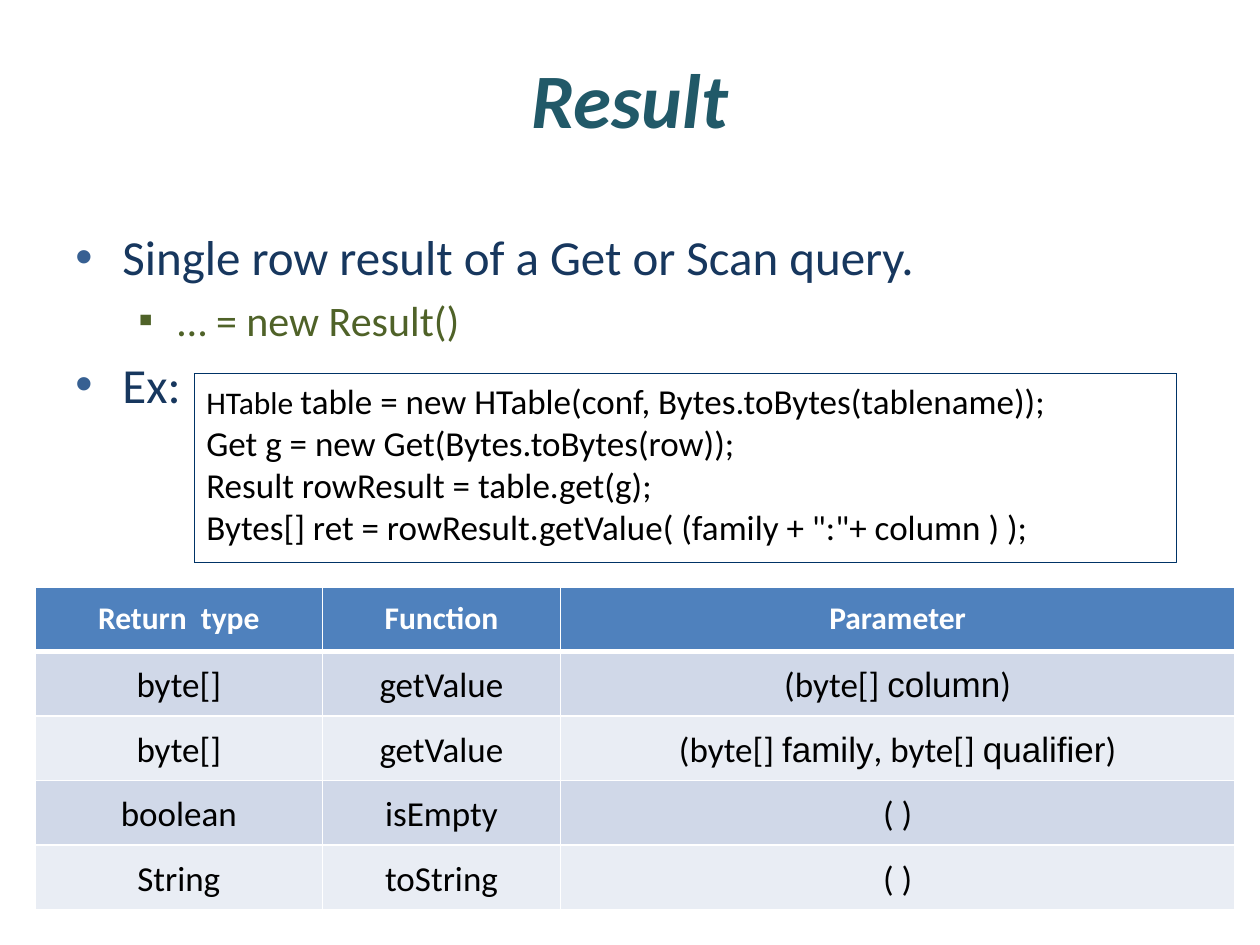
from lxml import etree
from pptx import Presentation
from pptx.dml.color import RGBColor
from pptx.enum.dml import MSO_LINE
from pptx.enum.shapes import MSO_SHAPE
from pptx.enum.text import MSO_ANCHOR, PP_ALIGN
from pptx.oxml.ns import qn
from pptx.util import Cm, Pt

RECT = MSO_SHAPE.RECTANGLE
DOTTED = MSO_LINE.ROUND_DOT
TOP, MIDDLE = MSO_ANCHOR.TOP, MSO_ANCHOR.MIDDLE
LEFT, CENTER = PP_ALIGN.LEFT, PP_ALIGN.CENTER

# Content
TITLE = "Result"
BULLETS = [  # level, text
    (0, "Single row result of a Get or Scan query."),
    (1, "… = new Result()"),
    (0, "Ex:"),
]
CODE = [  # lines of (style, text) runs
    [("code_small", "HTable "),
     ("code", "table = new HTable(conf, Bytes.toBytes(tablename));")],
    [("code", "Get g = new Get(Bytes.toBytes(row));")],
    [("code", "Result rowResult = table.get(g);")],
    [("code", 'Bytes[] ret = rowResult.getValue( (family + ":"+ column ) );')],
]
HEADER = ["Return  type", "Function", "Parameter"]
METHODS = [  # return type, function, parameter runs
    ("byte[]", "getValue",
     [("cell", "(byte[] "), ("argument", "column"), ("cell", ")")]),
    ("byte[]", "getValue",
     [("cell", "(byte[] "), ("argument", "family"), ("cell", ", byte[] "),
      ("argument", "qualifier"), ("cell", ")")]),
    ("boolean", "isEmpty", "( )"),
    ("String", "toString", "( )"),
]

# Places in cm: left, top, width, height
TITLE_AT = (1.27, 0.76, 22.86, 2.41)
BODY_AT = (1.27, 4.45, 22.86, 12.57)
CODE_AT = (3.91, 7.52, 19.81, 3.81)
TABLE_LEFT, TABLE_TOP, ROW_HEIGHT = 0.71, 11.83, 1.3
COLUMN_WIDTHS = (5.79, 4.8, 13.59)

THEME = {
    "text": {  # size, font, colour, bold, italic
        "title": (44, "Calibri", "215968", True, True),
        "bullet0": (28, "Calibri", "17375E", False, False),
        "bullet1": (24, "Calibri", "4F6228", False, False),
        "code_small": (18, "Calibri", "000000", False, False),
        "code": (20, "Calibri", "000000", False, False),
        "header": (18, "Calibri", "FFFFFF", True, False),
        "cell": (20, "Calibri", "000000", False, False),
        "argument": (20, "Arial", "000000", False, False),
    },
    "bullets": [  # mark, colour, margin and hanging indent in cm
        ("•", "376092", 0.95, 0.95),
        ("▪", "4F6228", 2.06, 0.79),
    ],
    "code_line": "003366",
    "header_fill": "4F81BD",
    "bands": ("D0D8E8", "E9EDF4"),
    "border": "FFFFFF",
}


def rgb(value):
    return RGBColor.from_string(value)


def box(values):
    return [Cm(v) for v in values]


def add_run(p, style, text):
    size, name, color, bold, italic = THEME["text"][style]
    r = p.add_run()
    r.text = text
    formats = {"size": Pt(size), "name": name, "bold": bold, "italic": italic}
    for key, value in formats.items():
        setattr(r.font, key, value)
    r.font.color.rgb = rgb(color)


def add_bullet(p, level):
    mark, color, margin, hanging = THEME["bullets"][level]
    p.level = level
    pPr = p._p.get_or_add_pPr()
    pPr.set("marL", str(Cm(margin)))
    pPr.set("indent", str(-Cm(hanging)))
    buClr = etree.SubElement(pPr, qn("a:buClr"))
    etree.SubElement(buClr, qn("a:srgbClr"), val=color)
    etree.SubElement(pPr, qn("a:buFont"), typeface="Arial")
    etree.SubElement(pPr, qn("a:buChar"), char=mark)


def write(tf, lines, align=LEFT, anchor=TOP):
    """Fill a text frame with lines, each a list of (style, text) runs."""
    tf.word_wrap = True
    tf.vertical_anchor = anchor
    for i, runs in enumerate(lines):
        p = tf.paragraphs[0] if i == 0 else tf.add_paragraph()
        p.alignment = align
        for style, text in runs:
            add_run(p, style, text)


def add_borders(cell, widths):
    """Draw cell borders; widths maps side letters L, R, T, B to points."""
    tcPr = cell._tc.get_or_add_tcPr()
    for side, width in widths.items():
        ln = etree.SubElement(tcPr, qn(f"a:ln{side}"), w=str(Pt(width)))
        fill = etree.SubElement(ln, qn("a:solidFill"))
        etree.SubElement(fill, qn("a:srgbClr"), val=THEME["border"])


def add_body(slide):
    tf = slide.shapes.add_textbox(*box(BODY_AT)).text_frame
    write(tf, [[(f"bullet{level}", text)] for level, text in BULLETS])
    for i, (level, _) in enumerate(BULLETS):
        p = tf.paragraphs[i]
        if i:
            p.space_before = Pt(0.2 * THEME["text"][f"bullet{level}"][0])
        add_bullet(p, level)


def add_code(slide):
    s = slide.shapes.add_shape(RECT, *box(CODE_AT))
    s.shadow.inherit = False
    s.fill.background()
    s.line.color.rgb = rgb(THEME["code_line"])
    s.line.width = Pt(0.25)
    s.line.dash_style = DOTTED
    write(s.text_frame, CODE)


def add_methods(slide):
    rows = [HEADER, *METHODS]
    place = (TABLE_LEFT, TABLE_TOP, sum(COLUMN_WIDTHS), ROW_HEIGHT * len(rows))
    table = slide.shapes.add_table(len(rows), len(HEADER), *box(place)).table
    for column, width in zip(table.columns, COLUMN_WIDTHS):
        column.width = Cm(width)
    for i, row in enumerate(rows):
        table.rows[i].height = Cm(ROW_HEIGHT)
        style = "cell" if i else "header"
        fill = THEME["bands"][(i - 1) % 2] if i else THEME["header_fill"]
        borders = {"L": 1, "R": 1, "T": 3 if i == 1 else 1, "B": 1 if i else 3}
        for j, content in enumerate(row):
            cell = table.cell(i, j)
            runs = [(style, content)] if isinstance(content, str) else content
            write(cell.text_frame, [runs], CENTER)
            cell.vertical_anchor = MIDDLE
            if i:
                cell.margin_top = cell.margin_bottom = 0
                cell.text_frame.paragraphs[0].line_spacing = 1.1
            add_borders(cell, borders)
            cell.fill.solid()
            cell.fill.fore_color.rgb = rgb(fill)


def main():
    prs = Presentation()
    prs.slide_width, prs.slide_height = Cm(25.4), Cm(19.05)
    slide = prs.slides.add_slide(prs.slide_layouts[6])
    title = slide.shapes.add_textbox(*box(TITLE_AT))
    write(title.text_frame, [[("title", TITLE)]], CENTER, MIDDLE)
    add_body(slide)
    add_code(slide)
    add_methods(slide)
    prs.save("out.pptx")


if __name__ == "__main__":
    main()
